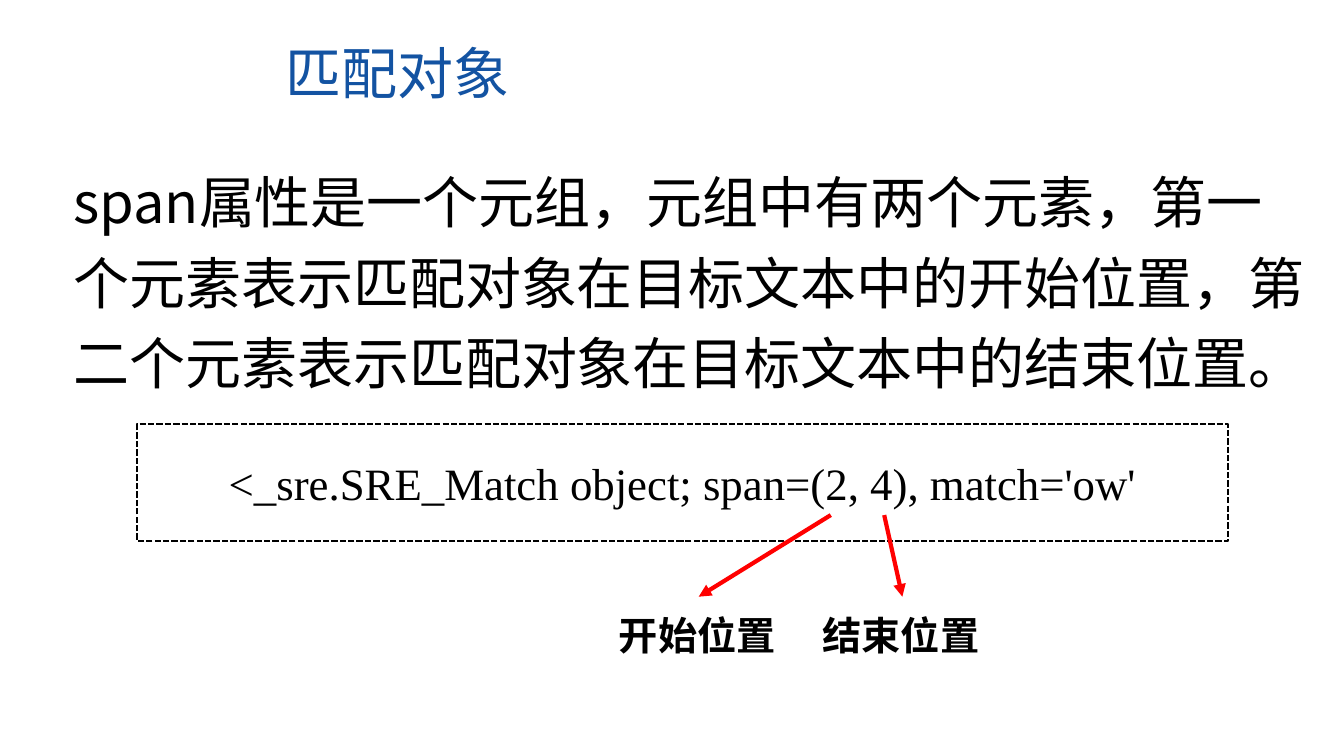
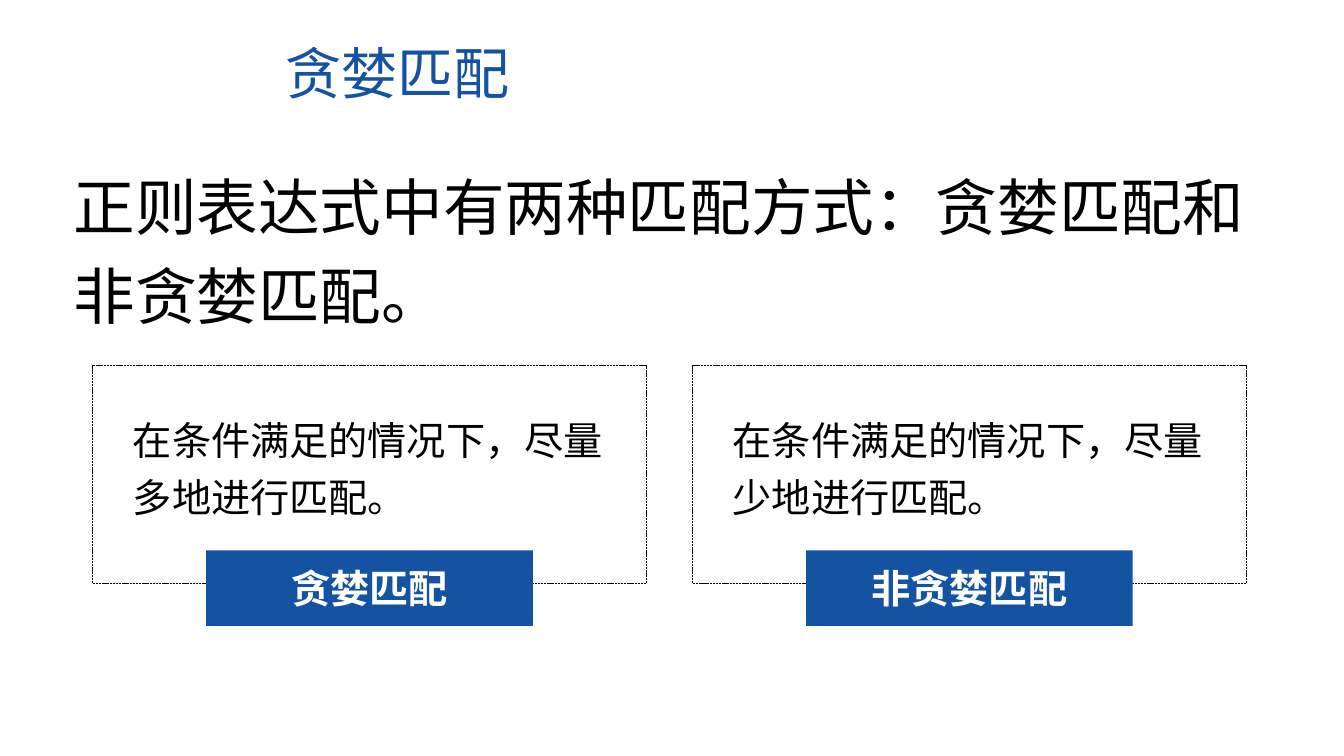
from dataclasses import dataclass

from lxml import etree
from pptx import Presentation
from pptx.dml.color import RGBColor
from pptx.enum.dml import MSO_LINE
from pptx.enum.shapes import MSO_CONNECTOR, MSO_SHAPE
from pptx.enum.text import MSO_ANCHOR, PP_ALIGN
from pptx.oxml.ns import qn
from pptx.util import Inches, Pt

RECT = MSO_SHAPE.RECTANGLE
STRAIGHT = MSO_CONNECTOR.STRAIGHT
SYS_DASH = MSO_LINE.SQUARE_DOT
MIDDLE = MSO_ANCHOR.MIDDLE
LEFT, CENTER = PP_ALIGN.LEFT, PP_ALIGN.CENTER


@dataclass(frozen=True)
class Theme:
    blue: RGBColor = RGBColor(0x13, 0x53, 0xA2)
    black: RGBColor = RGBColor(0, 0, 0)
    white: RGBColor = RGBColor(255, 255, 255)
    red: RGBColor = RGBColor(255, 0, 0)
    sans: str = "Noto Sans CJK SC"
    serif: str = "Times New Roman"
    title: int = 40
    code: int = 32
    small: int = 28
    line: float = 1.2    # single line height, in ems
    loose: float = 1.44  # body line height, in ems


T = Theme()

# Content
MATCH = {
    "title": "匹配对象",
    "body": "span属性是一个元组，元组中有两个元素，第一个元素表示匹配对象在目标文本中的"
            "开始位置，第二个元素表示匹配对象在目标文本中的结束位置。",
    "code": "<_sre.SRE_Match object; span=(2, 4), match='ow'",
    # label, label left, arrow start x, arrow end x
    "labels": [("开始位置", 6.04, 8.24, 6.93), ("结束位置", 8.06, 8.77, 8.95)],
}
GREEDY = {
    "title": "贪婪匹配",
    "body": "正则表达式中有两种匹配方式：贪婪匹配和非贪婪匹配。",
    "cards": [("贪婪匹配", "在条件满足的情况下，尽量多地进行匹配。"),
              ("非贪婪匹配", "在条件满足的情况下，尽量少地进行匹配。")],
}


# Helpers
def write(sp, text, size, color=T.black, font=T.sans, bold=False,
          spacing=None, align=LEFT):
    tf = sp.text_frame
    tf.word_wrap = True
    tf.text = text
    p = tf.paragraphs[0]
    p.alignment = align
    if spacing:
        p.line_spacing = Pt(size * spacing)
        tf.margin_top = Inches(0.09)
    for r in p.runs:
        r.font.size = Pt(size)
        r.font.bold = bold
        r.font.color.rgb = color
        r.font.name = font
        ea = etree.SubElement(r.font._element, qn("a:ea"))
        ea.set("typeface", font)


def add_text(s, box, text, size, **style):
    sp = s.shapes.add_textbox(*map(Inches, box))
    write(sp, text, size, **style)
    return sp


def add_rect(s, box, fill=None, line_width=None):
    sp = s.shapes.add_shape(RECT, *map(Inches, box))
    sp.shadow.inherit = False
    if fill is None:
        sp.fill.background()
    else:
        sp.fill.solid()
        sp.fill.fore_color.rgb = fill
    if line_width is None:
        sp.line.fill.background()
    else:
        sp.line.color.rgb = T.black
        sp.line.width = Pt(line_width)
        sp.line.dash_style = SYS_DASH
    return sp


def add_arrow(s, x1, y1, x2, y2):
    cx = s.shapes.add_connector(STRAIGHT, *map(Inches, (x1, y1, x2, y2)))
    cx.line.color.rgb = T.red
    cx.line.width = Pt(3)
    tail = etree.SubElement(cx.line._get_or_add_ln(), qn("a:tailEnd"))
    tail.set("type", "triangle")
    etree.SubElement(cx._element.spPr, qn("a:effectLst"))


def add_slide(prs, content, body_size, body_width, body_height):
    s = prs.slides.add_slide(prs.slide_layouts[6])
    add_text(s, (2.73, 0.29, 5.88, 0.77), content["title"], T.title,
             color=T.blue, spacing=T.line)
    add_text(s, (0.63, 1.44, body_width, body_height), content["body"],
             body_size, spacing=T.loose)
    return s


# Slides
def match_slide(prs):
    s = add_slide(prs, MATCH, 40, 12.5, 2.52)
    add_rect(s, (1.36, 4.21, 10.82, 1.16), line_width=1.5)
    add_text(s, (2.17, 4.47, 9.53, 0.64), MATCH["code"], T.code, font=T.serif)
    for label, left, x1, x2 in MATCH["labels"]:
        add_arrow(s, x1, 5.11, x2, 5.92)
        sp = add_text(s, (left, 5.97, 1.78, 0.57), label, T.small,
                      bold=True, spacing=T.line)
        sp.text_frame.word_wrap = False


def greedy_slide(prs):
    s = add_slide(prs, GREEDY, 44, 12.29, 1.79)
    left, top, width, height, pitch = 0.92, 3.63, 5.49, 2.16, 5.95
    tag_width, inset = 3.24, 0.3
    for i, (name, text) in enumerate(GREEDY["cards"]):
        x = left + i * pitch
        add_rect(s, (x, top, width, height), line_width=0.5)
        tag = add_rect(s, (x + (width - tag_width) / 2, 5.46, tag_width, 0.75),
                       fill=T.blue)
        write(tag, name, T.small, color=T.white, bold=True, align=CENTER)
        tag.text_frame.vertical_anchor = MIDDLE
        add_text(s, (x + inset, 3.95, width - 2 * inset, 1.16), text, T.small,
                 spacing=T.loose)


def main():
    prs = Presentation()
    prs.slide_width, prs.slide_height = Inches(13.33), Inches(7.5)
    match_slide(prs)
    greedy_slide(prs)
    prs.save("out.pptx")


if __name__ == "__main__":
    main()
